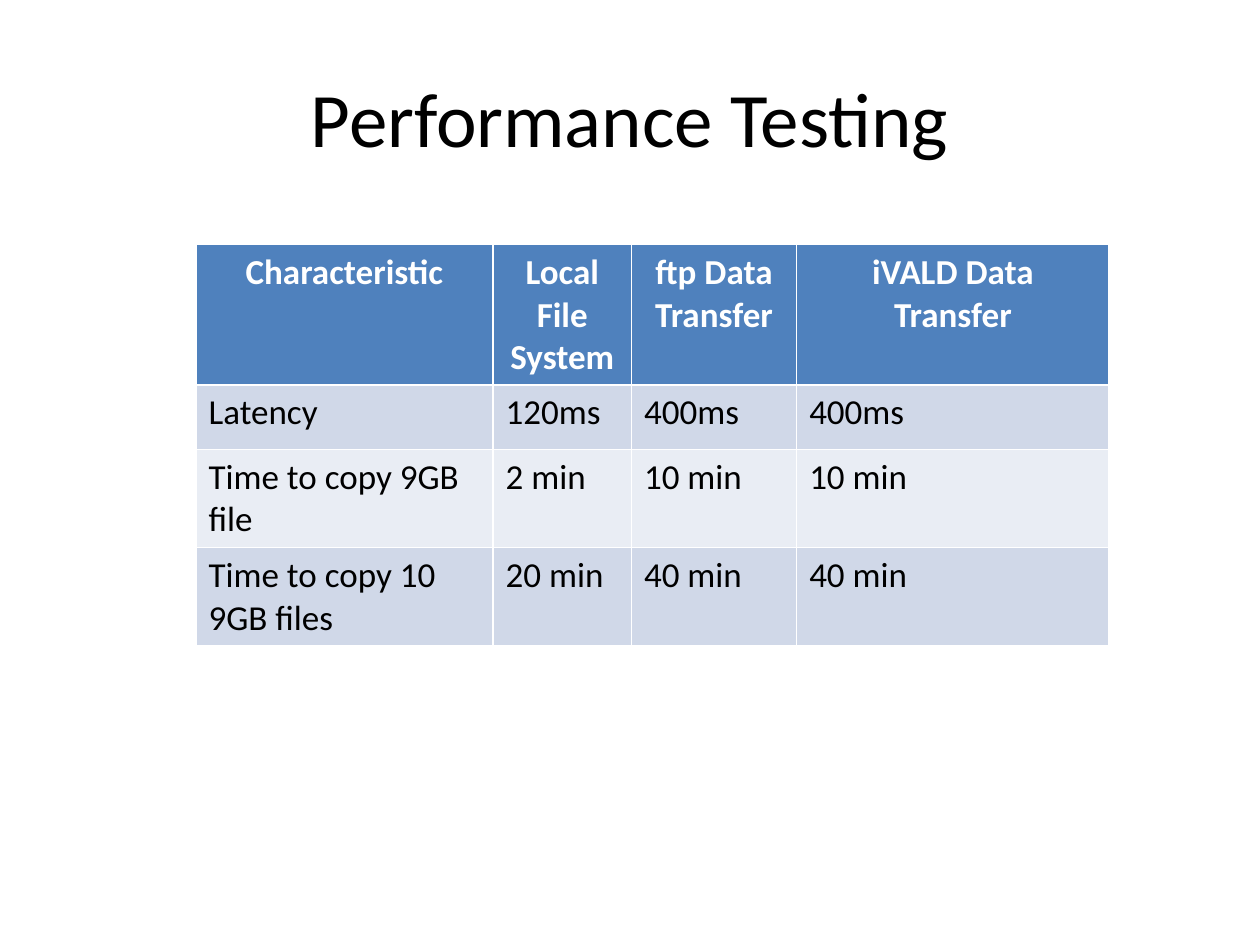
from dataclasses import dataclass

from lxml.etree import SubElement
from pptx import Presentation
from pptx.dml.color import RGBColor
from pptx.enum.text import MSO_ANCHOR, PP_ALIGN
from pptx.oxml.ns import qn
from pptx.slide import Slide
from pptx.table import _Cell
from pptx.text.text import _Paragraph
from pptx.util import Cm, Pt

COLORS = {
    "text": "000000",
    "white": "FFFFFF",
    "header": "4F81BD",
    "odd_row": "D0D8E8",
    "even_row": "E9EDF4",
}
FONT = "Calibri"


@dataclass
class RowStyle:
    fill: str
    text: str = "text"
    bold: bool = False
    align: PP_ALIGN = PP_ALIGN.LEFT


@dataclass
class TableRow:
    values: tuple[str, ...]
    style: RowStyle
    height: float


HEADER = RowStyle("header", "white", True, PP_ALIGN.CENTER)
ODD = RowStyle("odd_row")
EVEN = RowStyle("even_row")

COLUMN_WIDTHS = (5.99, 2.79, 3.33, 6.3)
ROWS = (
    TableRow(("Characteristic", "Local File System", "ftp Data Transfer",
              "iVALD Data Transfer"), HEADER, 2.83),
    TableRow(("Latency", "120ms", "400ms", "400ms"), ODD, 1.3),
    TableRow(("Time to copy 9GB file", "2 min", "10 min", "10 min"),
             EVEN, 1.98),
    TableRow(("Time to copy 10 9GB files", "20 min", "40 min", "40 min"),
             ODD, 1.98),
)


def style_paragraph(paragraph: _Paragraph, size: float, color: str,
                    bold: bool, align: PP_ALIGN) -> None:
    paragraph.alignment = align
    paragraph.font.name = FONT
    paragraph.font.size = Pt(size)
    paragraph.font.bold = bold
    paragraph.font.color.rgb = RGBColor.from_string(COLORS[color])


def set_borders(cell: _Cell) -> None:
    """Draw white cell borders; they must come before the fill in the XML."""
    properties = cell._tc.get_or_add_tcPr()
    for side in ("lnL", "lnR", "lnT", "lnB"):
        line = SubElement(properties, qn(f"a:{side}"), w=str(Pt(1)))
        fill = SubElement(line, qn("a:solidFill"))
        SubElement(fill, qn("a:srgbClr"), val=COLORS["white"])


def add_title(slide: Slide, text: str) -> None:
    shape = slide.shapes.add_textbox(Cm(1.27), Cm(0.76), Cm(22.86), Cm(3.18))
    frame = shape.text_frame
    frame.word_wrap = True
    frame.vertical_anchor = MSO_ANCHOR.MIDDLE
    frame.text = text
    style_paragraph(frame.paragraphs[0], 44, "text", False, PP_ALIGN.CENTER)


def fill_cell(cell: _Cell, text: str, style: RowStyle) -> None:
    cell.text = text
    style_paragraph(cell.text_frame.paragraphs[0], 20, style.text,
                    style.bold, style.align)
    set_borders(cell)
    cell.fill.solid()
    cell.fill.fore_color.rgb = RGBColor.from_string(COLORS[style.fill])


def add_results_table(slide: Slide) -> None:
    shape = slide.shapes.add_table(
        len(ROWS), len(COLUMN_WIDTHS), Cm(3.95), Cm(4.93),
        Cm(sum(COLUMN_WIDTHS)), Cm(sum(row.height for row in ROWS)))
    table = shape.table
    for column, width in zip(table.columns, COLUMN_WIDTHS):
        column.width = Cm(width)
    for table_row, row in zip(table.rows, ROWS):
        table_row.height = Cm(row.height)
        for cell, text in zip(table_row.cells, row.values):
            fill_cell(cell, text, row.style)


def main() -> None:
    presentation = Presentation()
    presentation.slide_width = Cm(25.4)
    presentation.slide_height = Cm(19.05)
    slide = presentation.slides.add_slide(presentation.slide_layouts[6])

    # Title
    add_title(slide, "Performance Testing")

    # Test results
    add_results_table(slide)

    presentation.save("out.pptx")


if __name__ == "__main__":
    main()
